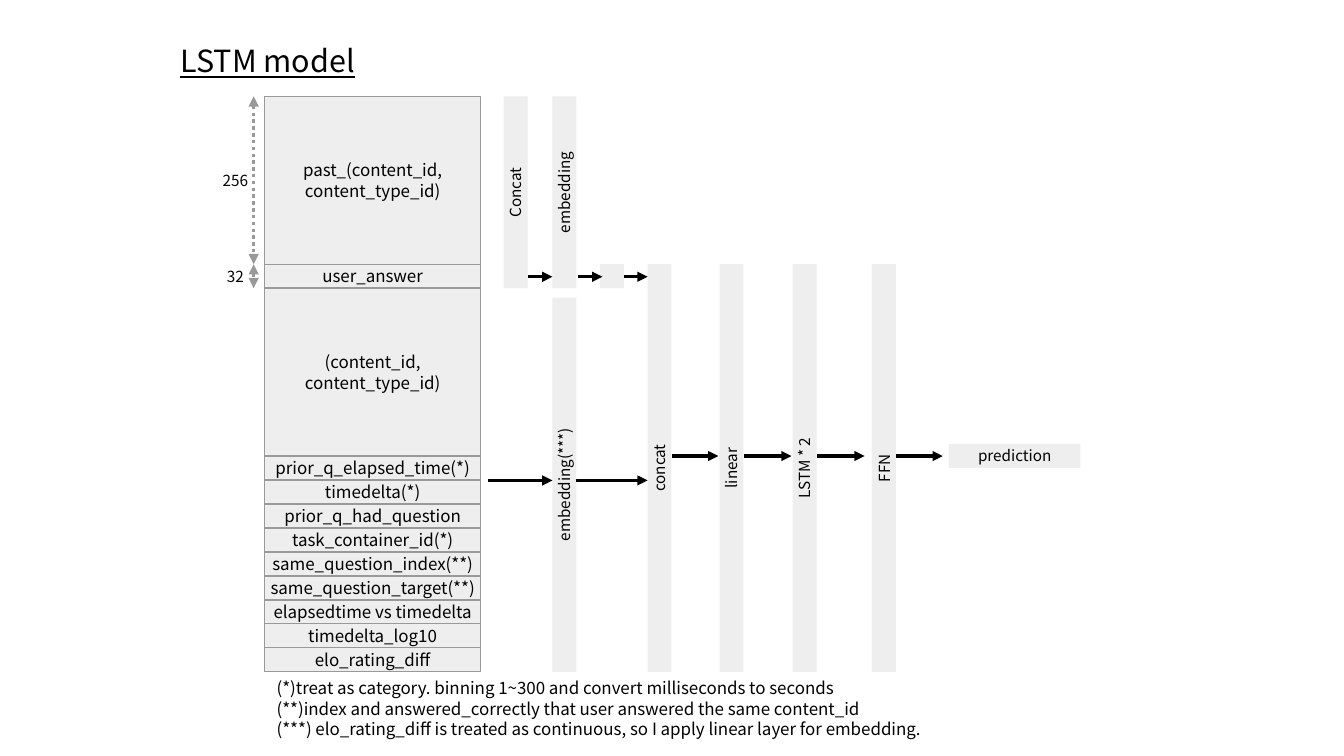
from dataclasses import dataclass

from lxml import etree
from pptx import Presentation
from pptx.dml.color import RGBColor
from pptx.enum import dml, shapes, text
from pptx.oxml import ns
from pptx.util import Inches, Pt


@dataclass(frozen=True)
class Theme:
    font: str = "Noto Sans CJK JP"
    ink: str = "000000"
    fill: str = "EEEEEE"
    edge: str = "999999"
    title: int = 18
    body: int = 10
    label: int = 9


THEME = Theme()
TOP, BOTTOM = 0.79, 5.51
FEATURE_X, FEATURE_W = 2.17, 1.77
FEATURES = [  # text, height in rows
    ("past_(content_id,\ncontent_type_id)", 7),
    ("user_answer", 1),
    ("(content_id,\ncontent_type_id)", 7),
    ("prior_q_elapsed_time(*)", 1),
    ("timedelta(*)", 1),
    ("prior_q_had_question", 1),
    ("task_container_id(*)", 1),
    ("same_question_index(**)", 1),
    ("same_question_target(**)", 1),
    ("elapsedtime vs timedelta", 1),
    ("timedelta_log10", 1),
    ("elo_rating_diff", 1),
]
ROW = (BOTTOM - TOP) / sum(rows for _, rows in FEATURES)
ANSWER_TOP, ANSWER_BOTTOM = TOP + 7 * ROW, TOP + 8 * ROW
BARS = [  # text, left, top, bottom
    ("Concat", 4.13, TOP, ANSWER_BOTTOM),
    ("embedding", 4.53, TOP, ANSWER_BOTTOM),
    ("", 4.92, ANSWER_TOP, ANSWER_BOTTOM),
    ("embedding(***)", 4.53, 2.44, BOTTOM),
    ("concat", 5.31, ANSWER_TOP, BOTTOM),
    ("linear", 5.9, ANSWER_TOP, BOTTOM),
    ("LSTM * 2", 6.5, ANSWER_TOP, BOTTOM),
    ("FFN", 7.15, ANSWER_TOP, BOTTOM),
]
FLOWS = {  # y: (from x, to x) of each arrow
    2.27: [(4.33, 4.53), (4.74, 4.94), (5.12, 5.31)],
    3.94: [(4, 4.53), (4.72, 5.31)],
    3.74: [(5.51, 5.89), (6.1, 6.49), (6.7, 7.09), (7.35, 7.73)],
}
DIMENSIONS = [("256", TOP, ANSWER_TOP), ("32", ANSWER_TOP, ANSWER_BOTTOM)]
NOTES = """(*)treat as category. binning 1~300 and convert milliseconds to seconds
(**)index and answered_correctly that user answered the same content_id
(***) elo_rating_diff is treated as continuous, so I apply linear layer for embedding."""


def rgb(value):
    return RGBColor.from_string(value)


class Diagram:
    def __init__(self, theme, slide):
        self.theme, self.slide = theme, slide

    def set_text(self, sp, words, size, align=text.PP_ALIGN.CENTER,
                 anchor=text.MSO_ANCHOR.MIDDLE, underline=None):
        tf = sp.text_frame
        frame = {"word_wrap": False, "auto_size": text.MSO_AUTO_SIZE.NONE,
                 "vertical_anchor": anchor}
        for name, value in frame.items():
            setattr(tf, name, value)
        tf.text = words
        style = {"name": self.theme.font, "size": Pt(size), "underline": underline}
        for p in tf.paragraphs:
            p.alignment = align
            for r in p.runs:
                for name, value in style.items():
                    setattr(r.font, name, value)
                r.font.color.rgb = rgb(self.theme.ink)

    def title(self, words, *box):
        sp = self.slide.shapes.title
        for name, value in zip(("left", "top", "width", "height"), box):
            setattr(sp, name, Inches(value))
        self.set_text(sp, words, self.theme.title, text.PP_ALIGN.LEFT, underline=True)

    def label(self, words, *box, size=THEME.label, **layout):
        sp = self.slide.shapes.add_textbox(*map(Inches, box))
        self.set_text(sp, words, size, **layout)

    def block(self, words, *box, size=THEME.label, edge=False):
        sp = self.slide.shapes.add_shape(shapes.MSO_SHAPE.RECTANGLE, *map(Inches, box))
        sp.shadow.inherit = False
        sp.fill.solid()
        sp.fill.fore_color.rgb = rgb(self.theme.fill)
        if edge:
            sp.line.color.rgb = rgb(self.theme.edge)
            sp.line.width = Pt(0)
        else:
            sp.line.fill.background()
        if words:
            self.set_text(sp, words, size)
        return sp

    def bar(self, words, left, top, bottom):
        """Add a vertical layer whose text reads upwards."""
        length = bottom - top
        sp = self.block(words, left + (ROW - length) / 2,
                        (top + bottom - ROW) / 2, length, ROW)
        sp.rotation = 270

    def arrow(self, *ends, color=THEME.ink, dash=None, heads=("tailEnd",)):
        sp = self.slide.shapes.add_connector(
            shapes.MSO_CONNECTOR.STRAIGHT, *map(Inches, ends))
        sp.line.color.rgb = rgb(color)
        sp.line.width = Pt(0)
        if dash:
            sp.line.dash_style = dash
        ln = sp._element.spPr.find(ns.qn("a:ln"))
        for head in heads:
            etree.SubElement(ln, ns.qn(f"a:{head}"), type="triangle")
        etree.SubElement(sp._element.spPr, ns.qn("a:effectLst"))


def main():
    prs = Presentation()
    prs.slide_width, prs.slide_height = Inches(11.02), Inches(6.2)
    d = Diagram(THEME, prs.slides.add_slide(prs.slide_layouts[5]))
    d.title("LSTM model", 1.38, 0.2, 4.53, 0.59)

    y = TOP
    for words, rows in FEATURES:
        d.block(words, FEATURE_X, y, FEATURE_W, rows * ROW, size=THEME.body, edge=True)
        y += rows * ROW
    d.label(NOTES, FEATURE_X, BOTTOM, 7.09, 0.59, size=THEME.body,
            align=text.PP_ALIGN.LEFT, anchor=text.MSO_ANCHOR.TOP)

    for bar in BARS:
        d.bar(*bar)
    d.block("prediction", 7.78, 3.64, 1.08, ROW)
    for y, spans in FLOWS.items():
        for start, end in spans:
            d.arrow(start, y, end, y)

    for words, top, bottom in DIMENSIONS:
        d.arrow(2.08, top, 2.08, bottom, color=THEME.edge,
                dash=dml.MSO_LINE.ROUND_DOT, heads=("headEnd", "tailEnd"))
        d.label(words, 1.78, (top + bottom - ROW) / 2, 0.3, ROW)
    prs.save("out.pptx")


if __name__ == "__main__":
    main()
